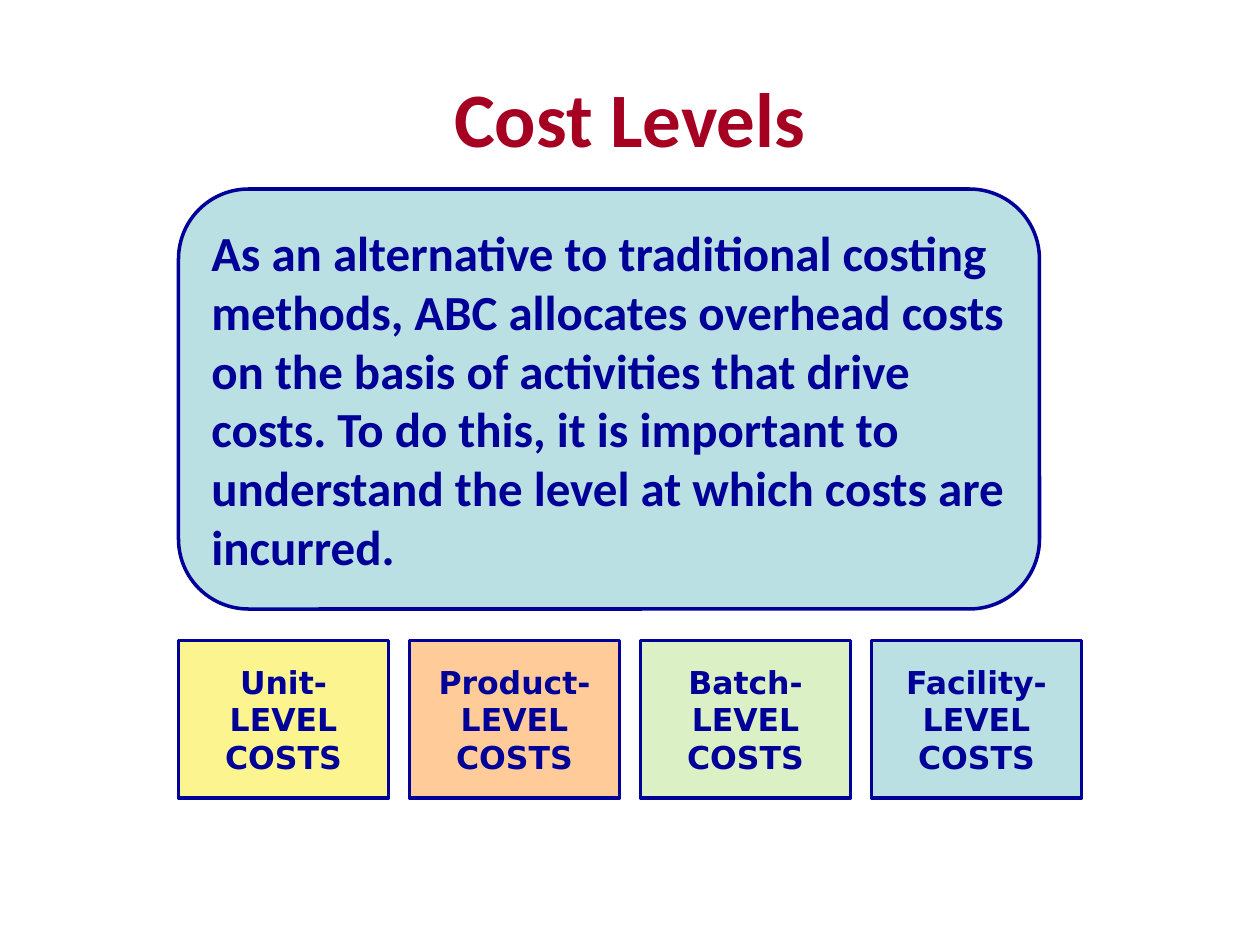
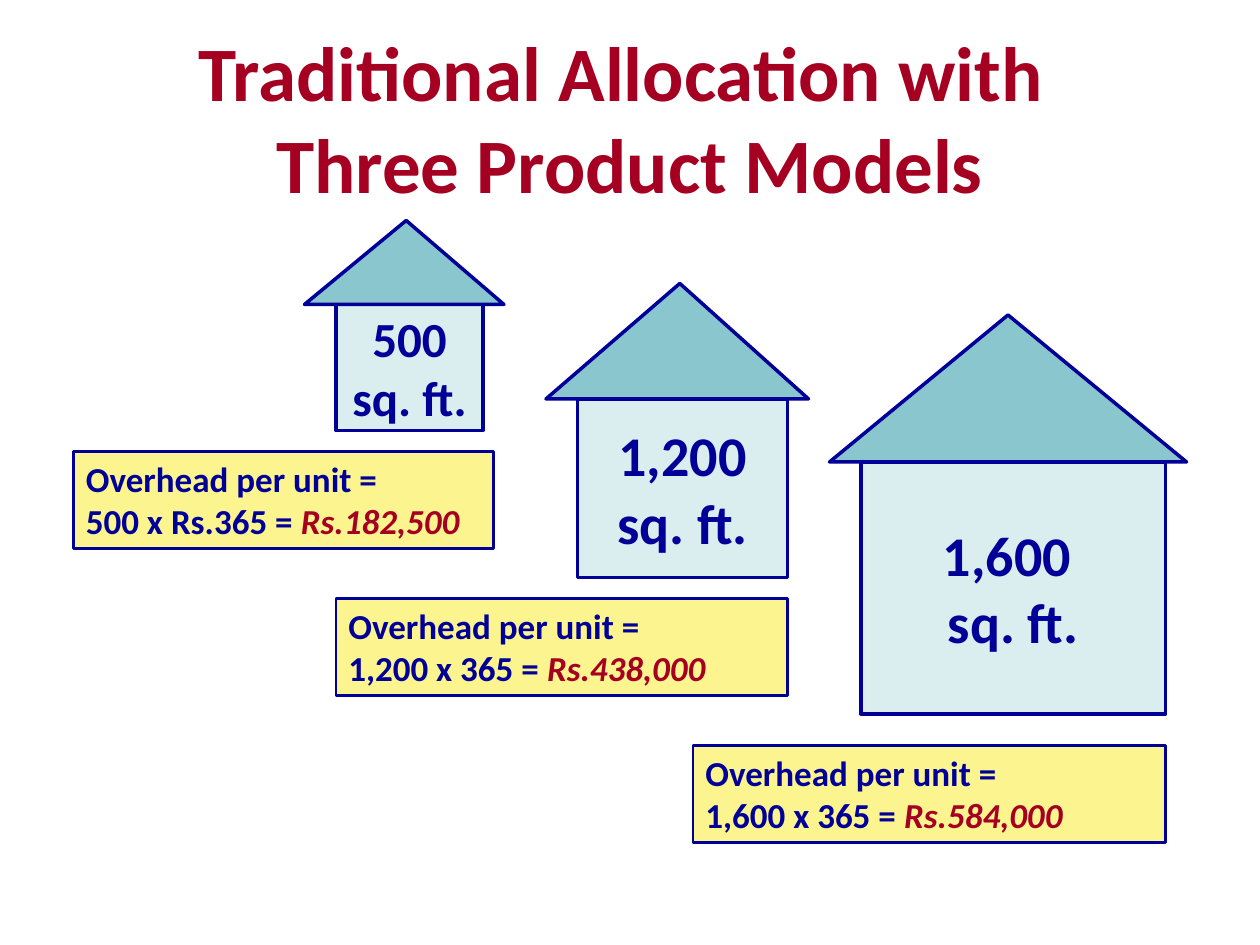
import pptx
import pptx.util
import pptx.dml.color
import pptx.enum.shapes
import pptx.enum.text

Pt = pptx.util.Pt
KIND = pptx.enum.shapes.MSO_SHAPE
ALIGN = pptx.enum.text.PP_ALIGN
ANCHOR = pptx.enum.text.MSO_ANCHOR
FIT = pptx.enum.text.MSO_AUTO_SIZE

NAVY, RED = "000099", "A50021"
AQUA, PALE, TEAL = "BBE0E3", "DAEDEF", "8AC6CD"
YELLOW, PEACH, GREEN = "FCF48E", "FFCC99", "DCF0C6"

LEVELS = [("Unit", YELLOW), ("Product", PEACH), ("Batch", GREEN), ("Facility", AQUA)]

# wall box, roof height, roof peak, label lines, label size, note box, sum, result
HOUSES = [
    ((492, 264, 174, 144), 84, 0.5, ["1,600 ", "sq. ft."], 32,
     (396, 426, 270, 55.5), "1,600 x 365 = ", "Rs.584,000"),
    ((330, 228, 120, 102), 66, 0.51, ["1,200 sq. ft."], 32,
     (192, 342, 258, 55.5), "1,200 x 365 = ", "Rs.438,000"),
    ((192, 174, 84, 72), 48, 0.51, ["500 sq. ft."], 28,
     (42, 258, 240, 55.5), "500 x Rs.365 = ", "Rs.182,500"),
]
EAVE, SPREAD = 18, 30


def paint(target, color):
    """Colour a fill or a font."""
    if hasattr(target, "solid"):
        target.solid()
        target = target.fore_color
    else:
        target = target.color
    target.rgb = pptx.dml.color.RGBColor.from_string(color)


def write(shape, lines, size, color=NAVY, font="Calibri", align=ALIGN.CENTER,
          anchor=ANCHOR.MIDDLE, fit=FIT.NONE):
    """Fill a shape with bold lines; a (plain, result) line ends in red italics."""
    frame = shape.text_frame
    frame.word_wrap = True
    frame.auto_size = fit
    frame.vertical_anchor = anchor
    for i, line in enumerate(lines):
        para = frame.add_paragraph() if i else frame.paragraphs[0]
        para.alignment = align
        parts = (line,) if isinstance(line, str) else line
        for j, text in enumerate(parts):
            # A vertical tab in paragraph text becomes a line break.
            if "\v" in text:
                para.text = text
                runs = para.runs
            else:
                runs = [para.add_run()]
                runs[0].text = text
            for run in runs:
                run.font.name = font
                run.font.size = Pt(size)
                run.font.bold = True
                run.font.italic = j > 0
                paint(run.font, RED if j else color)


def draw(slide, kind, box, fill, width=2):
    shape = slide.shapes.add_shape(kind, *map(Pt, box))
    shape.shadow.inherit = False
    paint(shape.fill, fill)
    paint(shape.line.fill, NAVY)
    shape.line.width = Pt(width)
    return shape


def start(deck, title):
    """Add a slide with its title."""
    slide = deck.slides.add_slide(deck.slide_layouts[5])
    head = slide.shapes.title
    head.left, head.top, head.width, head.height = map(Pt, (36, 21.6, 648, 90))
    write(head, [title], 44, color=RED)
    return slide


def house(slide, wall, rise, peak, label, size):
    left, top, width, _ = wall
    write(draw(slide, KIND.RECTANGLE, wall, PALE), label, size)
    roof = (left - EAVE, top - rise, width + SPREAD, rise)
    draw(slide, KIND.ISOSCELES_TRIANGLE, roof, TEAL).adjustments[0] = peak


def note(slide, box, formula, result):
    shape = draw(slide, KIND.RECTANGLE, box, YELLOW, 1.5)
    write(shape, ["Overhead per unit =", (formula, result)], 20,
          align=ALIGN.LEFT, anchor=ANCHOR.TOP, fit=FIT.SHAPE_TO_FIT_TEXT)


def levels(deck):
    slide = start(deck, "Cost Levels")
    panel = draw(slide, KIND.ROUNDED_RECTANGLE, (102, 108, 492, 240), AQUA)
    write(panel, ["As an alternative to traditional costing methods, ABC allocates "
                  "overhead costs on the basis of activities that drive costs. "
                  "To do this, it is important to understand the level at which "
                  "costs are incurred."], 28, align=ALIGN.LEFT)
    for i, (name, fill) in enumerate(LEVELS):
        card = draw(slide, KIND.RECTANGLE, (102 + 132 * i, 366, 120, 90), fill)
        write(card, [f"{name}-LEVEL COSTS"], 18, font="DejaVu Sans")


def models(deck):
    slide = start(deck, "Traditional Allocation with \vThree Product Models")
    for wall, rise, peak, label, size, box, formula, result in HOUSES:
        house(slide, wall, rise, peak, label, size)
        note(slide, box, formula, result)


def main():
    deck = pptx.Presentation()
    deck.slide_width, deck.slide_height = Pt(720), Pt(540)
    levels(deck)
    models(deck)
    deck.save("out.pptx")


if __name__ == "__main__":
    main()
